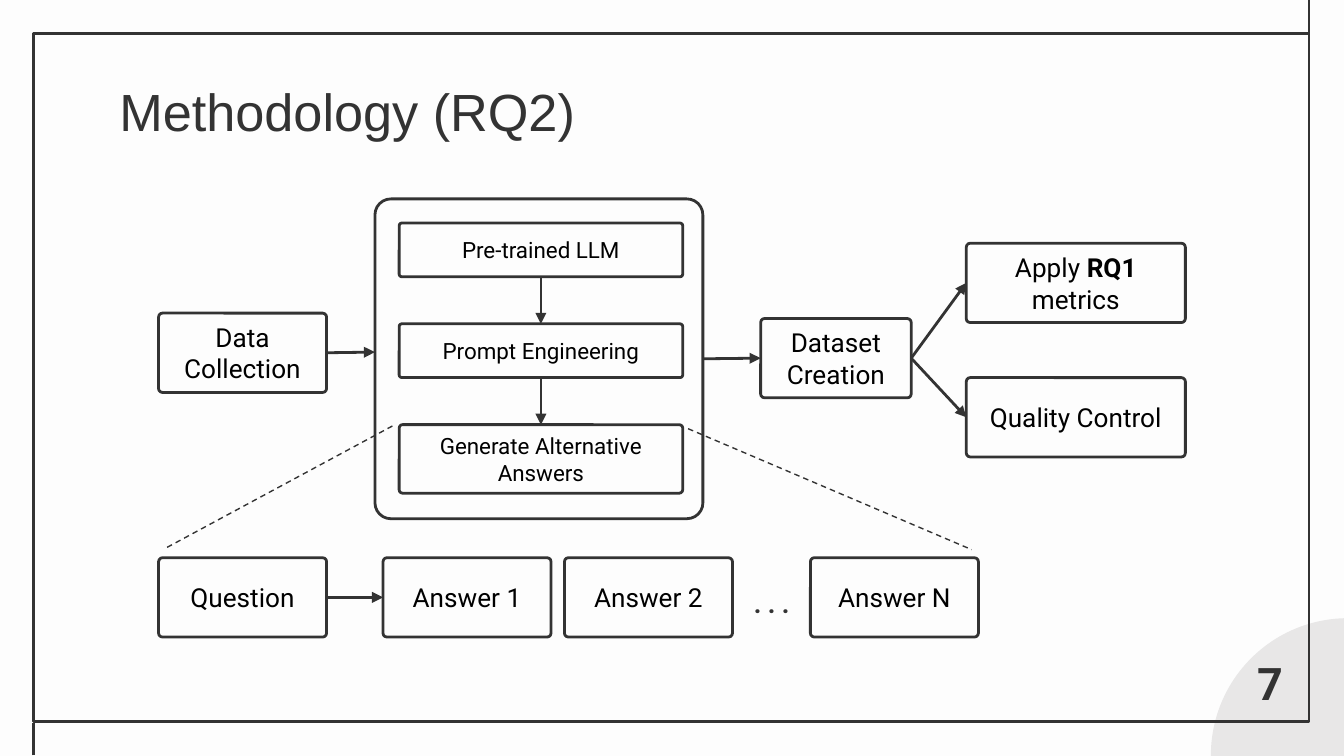
from dataclasses import dataclass
from typing import Optional

from lxml.etree import SubElement
from pptx import Presentation
from pptx.dml.color import RGBColor
from pptx.enum.dml import MSO_LINE
from pptx.enum.shapes import MSO_CONNECTOR, MSO_SHAPE
from pptx.enum.text import MSO_ANCHOR, PP_ALIGN
from pptx.oxml.ns import qn
from pptx.util import Inches, Pt

INK = RGBColor(0x33, 0x33, 0x33)
PAPER = RGBColor(0xFD, 0xFD, 0xFD)
PALE = RGBColor(0xE8, 0xE7, 0xE7)
BLACK = RGBColor(0x00, 0x00, 0x00)

SLIDE_WIDTH = Inches(10)
SLIDE_HEIGHT = SLIDE_WIDTH * 9 // 16

TOP, LEFT, BOTTOM, RIGHT = range(4)
BOX_HEIGHT = 0.59
ANSWER_WIDTH = 1.25
ANSWER_TOP = 4.15
STEP_LEFT, STEP_WIDTH = 2.97, 2.11
OUTCOME_LEFT, OUTCOME_WIDTH = 7.19, 1.63


@dataclass(frozen=True)
class Box:
    key: str
    runs: tuple[tuple[str, bool], ...]
    left: float
    top: float
    width: float
    height: float = BOX_HEIGHT
    size: float = 14


@dataclass(frozen=True)
class Label:
    text: str
    left: float
    top: float
    width: float
    height: float
    size: float
    font: str = "Roboto"
    bold: bool = True
    align: PP_ALIGN = PP_ALIGN.LEFT


@dataclass(frozen=True)
class Link:
    start: tuple[float, float]
    end: tuple[float, float]
    source: Optional[tuple[str, int]] = None
    target: Optional[tuple[str, int]] = None
    arrow: bool = True
    dashed: bool = False


def plain(text: str) -> tuple[tuple[str, bool], ...]:
    return ((text, False),)


BOXES = (
    Box("collection", plain("Data Collection"), 1.18, 2.33, ANSWER_WIDTH),
    Box("generation", (), 2.79, 1.48, 2.44, 2.38),
    Box("model", plain("Pre-trained LLM"), STEP_LEFT, 1.66, STEP_WIDTH, 0.4, 12),
    Box("prompt", plain("Prompt Engineering"), STEP_LEFT, 2.41, STEP_WIDTH, 0.4, 12),
    Box("alternatives", plain("Generate Alternative Answers"),
        STEP_LEFT, 3.16, STEP_WIDTH, 0.51, 12),
    Box("dataset", plain("Dataset Creation"), 5.66, 2.37, 1.12),
    Box("metrics", (("Apply ", False), ("RQ1 ", True), ("metrics", False)),
        OUTCOME_LEFT, 1.81, OUTCOME_WIDTH),
    Box("quality", plain("Quality Control"), OUTCOME_LEFT, 2.81, OUTCOME_WIDTH),
) + tuple(
    Box(text, plain(text), left, ANSWER_TOP, ANSWER_WIDTH)
    for text, left in (("Question", 1.18), ("Answer 1", 2.85),
                       ("Answer 2", 4.2), ("Answer N", 6.03))
)

LABELS = (
    Label("Methodology (RQ2)", 0.79, 0.49, 8.43, 0.63, 28, "Arial", False),
    Label(". . .", 5.51, 4.27, 0.48, 0.35, 14),
    Label("7", 9.22, 4.78, 0.46, 0.51, 24, align=PP_ALIGN.CENTER),
)

FRAME_LINKS = (
    Link((9.74, 0.26), (9.74, 0), arrow=False),
    Link((0.25, 5.62), (0.25, 5.38), arrow=False),
)

FLOW_LINKS = (
    Link((2.43, 2.62), (2.79, 2.62), ("collection", RIGHT)),
    Link((4.02, 2.06), (4.02, 2.41), ("model", BOTTOM), ("prompt", TOP)),
    Link((4.02, 2.81), (4.02, 3.16), ("prompt", BOTTOM), ("alternatives", TOP)),
    Link((5.23, 2.67), (5.66, 2.67), ("generation", RIGHT), ("dataset", LEFT)),
    Link((6.78, 2.67), (7.19, 2.11), ("dataset", RIGHT), ("metrics", LEFT)),
    Link((6.78, 2.67), (7.19, 3.1), ("dataset", RIGHT), ("quality", LEFT)),
    Link((2.43, 4.44), (2.85, 4.44), ("Question", RIGHT), ("Answer 1", LEFT)),
    Link((2.92, 3.17), (1.23, 4.08), arrow=False, dashed=True),
    Link((5.12, 3.19), (7.23, 4.09), arrow=False, dashed=True),
)


def apply_format(target, values: dict) -> None:
    for attribute, value in values.items():
        setattr(target, attribute, value)


def format_frame(frame, anchor: MSO_ANCHOR) -> None:
    inset = Inches(0.1)
    apply_format(frame, {
        "word_wrap": True, "vertical_anchor": anchor,
        "margin_left": inset, "margin_right": inset,
        "margin_top": inset, "margin_bottom": inset})


def add_run(paragraph, text: str, size: float, font: str, bold: bool, color: RGBColor) -> None:
    run = paragraph.add_run()
    run.text = text
    apply_format(run.font, {"size": Pt(size), "name": font, "bold": bold})
    run.font.color.rgb = color


def draw_outline(slide, kind: MSO_SHAPE, left: float, top: float, width: float,
                 height: float, fill: Optional[RGBColor], outlined: bool = True):
    outline = slide.shapes.add_shape(
        kind, Inches(left), Inches(top), Inches(width), Inches(height))
    outline.shadow.inherit = False
    if fill is None:
        outline.fill.background()
    else:
        outline.fill.solid()
        outline.fill.fore_color.rgb = fill
    if outlined:
        outline.line.color.rgb = INK
        outline.line.width = Pt(1.5)
    else:
        outline.line.fill.background()
    return outline


def draw_box(slide, box: Box):
    panel = draw_outline(slide, MSO_SHAPE.ROUNDED_RECTANGLE,
                         box.left, box.top, box.width, box.height, PAPER)
    panel.adjustments[0] = 0.05
    format_frame(panel.text_frame, MSO_ANCHOR.MIDDLE)
    paragraph = panel.text_frame.paragraphs[0]
    paragraph.alignment = PP_ALIGN.CENTER
    for text, bold in box.runs:
        add_run(paragraph, text, box.size, "Roboto", bold, BLACK)
    return panel


def draw_label(slide, label: Label) -> None:
    frame = slide.shapes.add_textbox(
        Inches(label.left), Inches(label.top),
        Inches(label.width), Inches(label.height)).text_frame
    format_frame(frame, MSO_ANCHOR.TOP)
    paragraph = frame.paragraphs[0]
    paragraph.alignment = label.align
    add_run(paragraph, label.text, label.size, label.font, label.bold, INK)


def draw_link(slide, link: Link, panels: dict) -> None:
    connector = slide.shapes.add_connector(
        MSO_CONNECTOR.STRAIGHT, *map(Inches, link.start + link.end))
    connector.line.color.rgb = INK
    connector.line.width = Pt(0.75 if link.dashed else 1.5)
    if link.dashed:
        connector.line.dash_style = MSO_LINE.DASH
    if link.arrow:
        SubElement(connector.line._get_or_add_ln(), qn("a:tailEnd"), type="triangle")
    SubElement(connector._element.spPr, qn("a:effectLst"))
    if link.source:
        key, side = link.source
        connector.begin_connect(panels[key], side)
    if link.target:
        key, side = link.target
        connector.end_connect(panels[key], side)


def main() -> None:
    deck = Presentation()
    apply_format(deck, {"slide_width": SLIDE_WIDTH, "slide_height": SLIDE_HEIGHT})
    slide = deck.slides.add_slide(deck.slide_layouts[6])
    slide.background.fill.solid()
    slide.background.fill.fore_color.rgb = PAPER

    draw_outline(slide, MSO_SHAPE.OVAL, 9.01, 4.6, 2.04, 2.04, PALE, outlined=False)
    for link in FRAME_LINKS:
        draw_link(slide, link, {})
    draw_outline(slide, MSO_SHAPE.RECTANGLE, 0.25, 0.25, 9.49, 5.12, None)

    panels = {box.key: draw_box(slide, box) for box in BOXES}
    for link in FLOW_LINKS:
        draw_link(slide, link, panels)
    for label in LABELS:
        draw_label(slide, label)
    deck.save("out.pptx")


if __name__ == "__main__":
    main()
